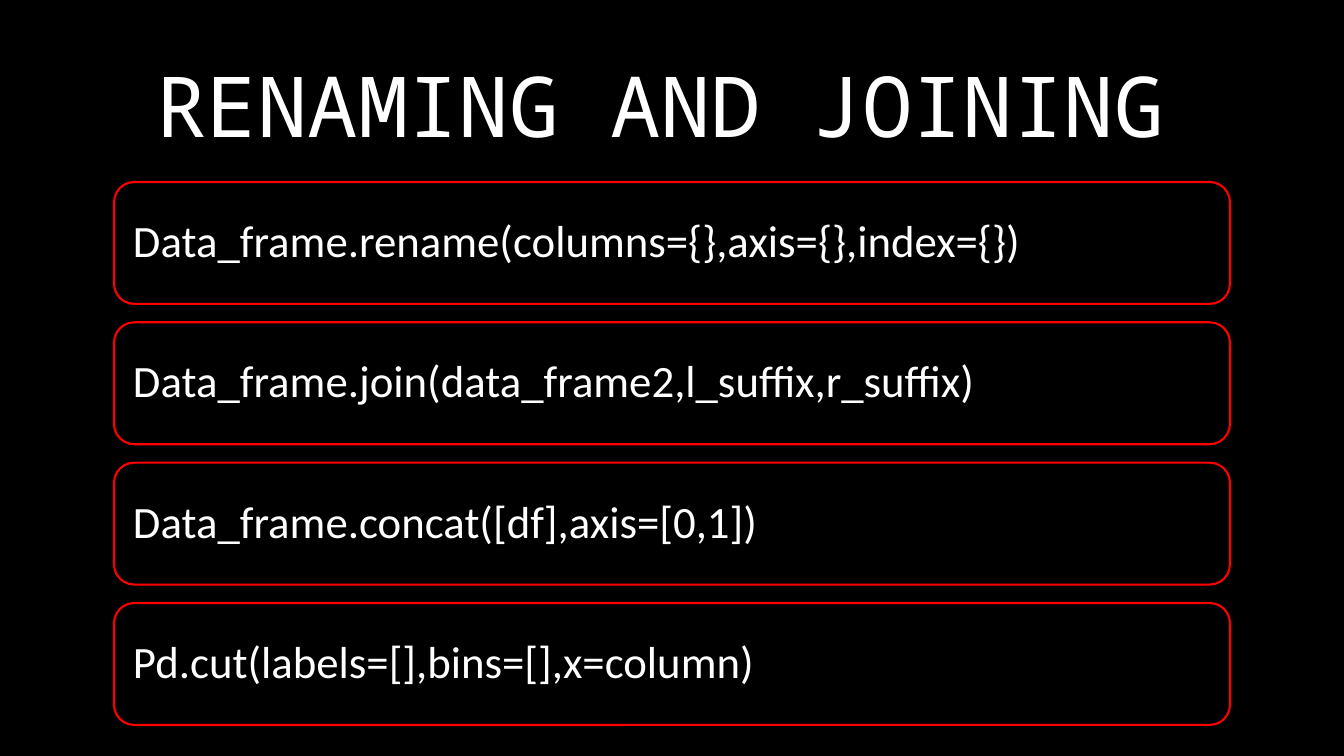
from pptx import Presentation
from pptx.dml.color import RGBColor
from pptx.enum.shapes import MSO_SHAPE as Shape
from pptx.enum.text import MSO_ANCHOR as Anchor, MSO_AUTO_SIZE as AutoSize, PP_ALIGN as Align
from pptx.util import Pt

EMU_PER_PX = 914400 / 100.8
BLACK = RGBColor(0x00, 0x00, 0x00)
WHITE = RGBColor(0xFF, 0xFF, 0xFF)
RED = RGBColor(0xFF, 0x00, 0x00)

TITLE = "RENAMING AND JOINING"
CALLS = [
    "Data_frame.rename(columns={},axis={},index={})",
    "Data_frame.join(data_frame2,l_suffix,r_suffix)",
    "Data_frame.concat([df],axis=[0,1])",
    "Pd.cut(labels=[],bins=[],x=column)",
]


def px(length):
    return round(length * EMU_PER_PX)


def write(shape, text, font, size, align):
    frame = shape.text_frame
    frame.word_wrap = True
    frame.auto_size = AutoSize.NONE
    frame.vertical_anchor = Anchor.MIDDLE
    paragraph = frame.paragraphs[0]
    paragraph.alignment = align
    run = paragraph.add_run()
    run.text = text
    run.font.name = font
    run.font.size = Pt(size)
    run.font.color.rgb = WHITE
    return paragraph


def place_title(slide, left, top, width, height):
    title = slide.shapes.title
    title.left, title.top = px(left), px(top)
    title.width, title.height = px(width), px(height)
    write(title, TITLE, "Noto Sans Mono", 60, Align.CENTER)


def place_calls(slide, left, top, width, height):
    card_height = 122
    pitch = (height - card_height) / (len(CALLS) - 1)
    for row, call in enumerate(CALLS):
        card = slide.shapes.add_shape(
            Shape.ROUNDED_RECTANGLE,
            px(left), px(top + row * pitch), px(width), px(card_height))
        card.shadow.inherit = False
        card.fill.background()
        card.line.color.rgb = RED
        card.line.width = Pt(1.5)
        frame = card.text_frame
        frame.margin_left = frame.margin_right = px(13)
        frame.margin_top = frame.margin_bottom = px(13)
        paragraph = write(card, call, "Calibri", 32, Align.LEFT)
        paragraph.line_spacing = 0.9


def main():
    presentation = Presentation()
    presentation.slide_width = px(1344)
    presentation.slide_height = px(756)
    slide = presentation.slides.add_slide(presentation.slide_layouts[5])
    slide.background.fill.solid()
    slide.background.fill.fore_color.rgb = BLACK
    place_title(slide, 106, 15, 1109, 177)
    place_calls(slide, 114, 182, 1116, 543)
    presentation.save("out.pptx")


if __name__ == "__main__":
    main()
